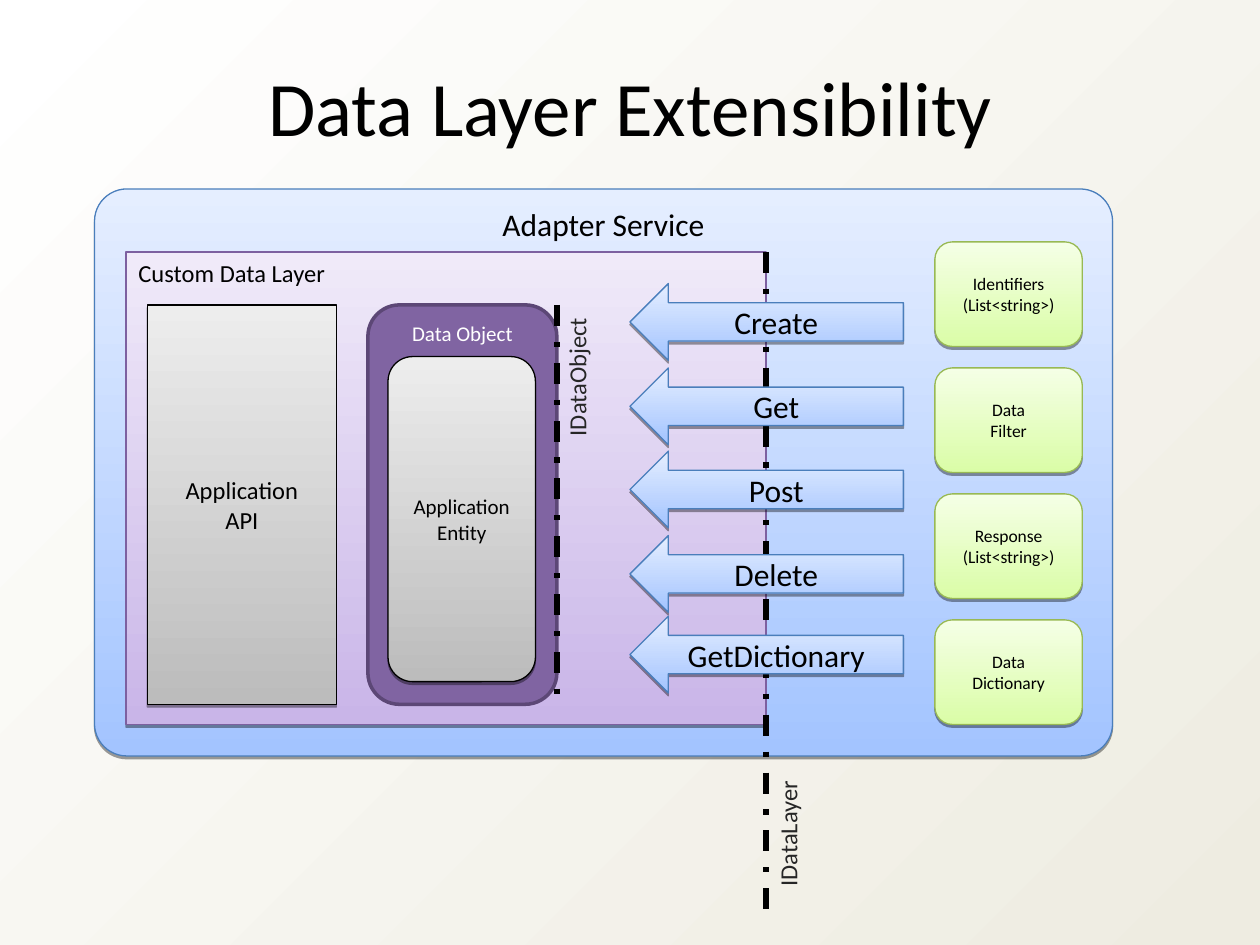
import pptx
import pptx.util
import pptx.dml.color
import pptx.enum.dml
import pptx.enum.shapes
import pptx.enum.text
import pptx.oxml
import pptx.oxml.ns
from pptx.util import Inches

SHAPE = pptx.enum.shapes.MSO_SHAPE
ALIGN = pptx.enum.text.PP_ALIGN
ANCHOR = pptx.enum.text.MSO_ANCHOR
FIT = pptx.enum.text.MSO_AUTO_SIZE

COLORS = {
    "black": "000000", "white": "FFFFFF", "cream": "EEECE1", "label": "262626",
    "blue": "A3C4FF", "pale blue": "E5EEFF", "blue edge": "4A7EBB",
    "lilac": "C9B5E8", "pale lilac": "F0EAF9", "lilac edge": "7D60A0",
    "gray": "BCBCBC", "pale gray": "EDEDED",
    "green": "DAFDA7", "pale green": "F5FFE6", "green edge": "98B954",
    "purple": "8064A2", "purple edge": "5C4776",
}
# Each look is (bottom colour, top colour, outline colour)
BLUE = ("blue", "pale blue", "blue edge")
LILAC = ("lilac", "pale lilac", "lilac edge")
GRAY = ("gray", "pale gray", "black")
GREEN = ("green", "pale green", "green edge")
PURPLE = ("purple", "purple", "purple edge")


def rgb(name):
    return pptx.dml.color.RGBColor.from_string(COLORS[name])


class Diagram:
    """Holds the style and the slide being drawn."""

    font = "Calibri"

    def __init__(self, slide):
        self.slide = slide

    def gradient(self, fill, start, end, angle):
        fill.gradient()
        fill.gradient_angle = angle
        for stop, color in zip(fill.gradient_stops, (start, end)):
            stop.color.rgb = rgb(color)

    def background(self, start, end):
        self.gradient(self.slide.background.fill, start, end, 315)

    def set_text(self, frame, text, size, color="black", align=ALIGN.CENTER,
                 anchor=ANCHOR.MIDDLE):
        frame.text = text
        frame.word_wrap = True
        frame.vertical_anchor = anchor
        for paragraph in frame.paragraphs:
            paragraph.alignment = align
            for run in paragraph.runs:
                run.font.name = self.font
                run.font.size = pptx.util.Pt(size)
                run.font.color.rgb = rgb(color)

    def title(self, text, left, top, width, height):
        heading = self.slide.shapes.title
        heading.left, heading.top = Inches(left), Inches(top)
        heading.width, heading.height = Inches(width), Inches(height)
        self.set_text(heading.text_frame, text, 44, anchor=ANCHOR.TOP)
        heading.text_frame.auto_size = FIT.SHAPE_TO_FIT_TEXT

    def block(self, kind, box, look, text, size, corner=None, **text_style):
        """Draw a filled shape; one with a gradient also gets a hard shadow."""
        block = self.slide.shapes.add_shape(kind, *map(Inches, box))
        if corner is not None:
            block.adjustments[0] = corner
        bottom, top, edge = look
        block.shadow.inherit = False
        if bottom == top:
            block.fill.solid()
            block.fill.fore_color.rgb = rgb(bottom)
        else:
            self.gradient(block.fill, bottom, top, 90)
            self.drop_shadow(block)
        block.line.color.rgb = rgb(edge)
        block.line.width = pptx.util.Pt(0.75)
        self.set_text(block.text_frame, text, size, **text_style)
        return block

    def drop_shadow(self, block):
        effects = block.element.spPr.find(pptx.oxml.ns.qn("a:effectLst"))
        effects.append(pptx.oxml.parse_xml(
            f'<a:outerShdw {pptx.oxml.ns.nsdecls("a")} blurRad="0" dist="20000" '
            'dir="5400000" rotWithShape="0">'
            f'<a:srgbClr val="{COLORS["black"]}"><a:alpha val="38000"/></a:srgbClr>'
            '</a:outerShdw>'))

    def interface(self, x, top, bottom):
        """Draw the vertical dash-dot line of an interface."""
        boundary = self.slide.shapes.add_connector(
            pptx.enum.shapes.MSO_CONNECTOR.STRAIGHT,
            Inches(x), Inches(top), Inches(x), Inches(bottom))
        boundary.line.color.rgb = rgb("black")
        boundary.line.width = pptx.util.Pt(3)
        boundary.line.dash_style = pptx.enum.dml.MSO_LINE.DASH_DOT
        boundary.element.spPr.append(
            pptx.oxml.parse_xml(f'<a:effectLst {pptx.oxml.ns.nsdecls("a")}/>'))

    def upright_label(self, text, left, top, width, height):
        label = self.slide.shapes.add_textbox(*map(Inches, (left, top, width, height)))
        label.rotation = 270
        self.set_text(label.text_frame, text, 14, "label", ALIGN.LEFT, ANCHOR.TOP)
        label.text_frame.word_wrap = False
        label.text_frame.auto_size = FIT.SHAPE_TO_FIT_TEXT


def main():
    deck = pptx.Presentation()
    deck.slide_width, deck.slide_height = Inches(10), Inches(7.5)
    diagram = Diagram(deck.slides.add_slide(deck.slide_layouts[5]))
    diagram.background("white", "cream")
    diagram.title("Data Layer Extensibility", 0.17, 0.42, 9.67, 0.84)

    diagram.block(SHAPE.ROUNDED_RECTANGLE, (0.75, 1.5, 8.08, 4.5), BLUE,
                  "Adapter Service", 18, corner=0.057, anchor=ANCHOR.TOP)
    diagram.block(SHAPE.RECTANGLE, (1, 2, 5.08, 3.75), LILAC,
                  "Custom Data Layer", 14, align=ALIGN.LEFT, anchor=ANCHOR.TOP)

    data_object = diagram.block(
        SHAPE.ROUNDED_RECTANGLE, (2.92, 2.42, 1.5, 3.17), PURPLE,
        "Data Object", 12, color="white", anchor=ANCHOR.TOP)
    data_object.line.width = pptx.util.Pt(2)
    diagram.block(SHAPE.ROUNDED_RECTANGLE, (3.08, 2.83, 1.17, 2.58), GRAY,
                  "Application\vEntity", 12)

    diagram.upright_label("IDataObject", 4.01, 2.82, 1.14, 0.34)
    diagram.interface(4.42, 2.42, 5.58)
    diagram.upright_label("IDataLayer", 5.73, 6.44, 1.05, 0.34)
    diagram.interface(6.08, 2, 7.25)

    operations = {"Create": 2.25, "Get": 2.92, "Post": 3.58, "Delete": 4.25,
                  "GetDictionary": 4.89}
    for operation, top in operations.items():
        diagram.block(SHAPE.LEFT_ARROW, (5, top, 2.17, 0.61), BLUE, operation, 18)

    diagram.block(SHAPE.RECTANGLE, (1.17, 2.42, 1.5, 3.17), GRAY,
                  "Application\vAPI", 14)

    payloads = ("Identifiers (List<string>)", "Data\vFilter",
                "Response (List<string>)", "Data\vDictionary")
    for row, payload in enumerate(payloads):
        diagram.block(SHAPE.ROUNDED_RECTANGLE, (7.42, 1.92 + row, 1.17, 0.83),
                      GREEN, payload, 10)

    deck.save("out.pptx")


if __name__ == "__main__":
    main()
